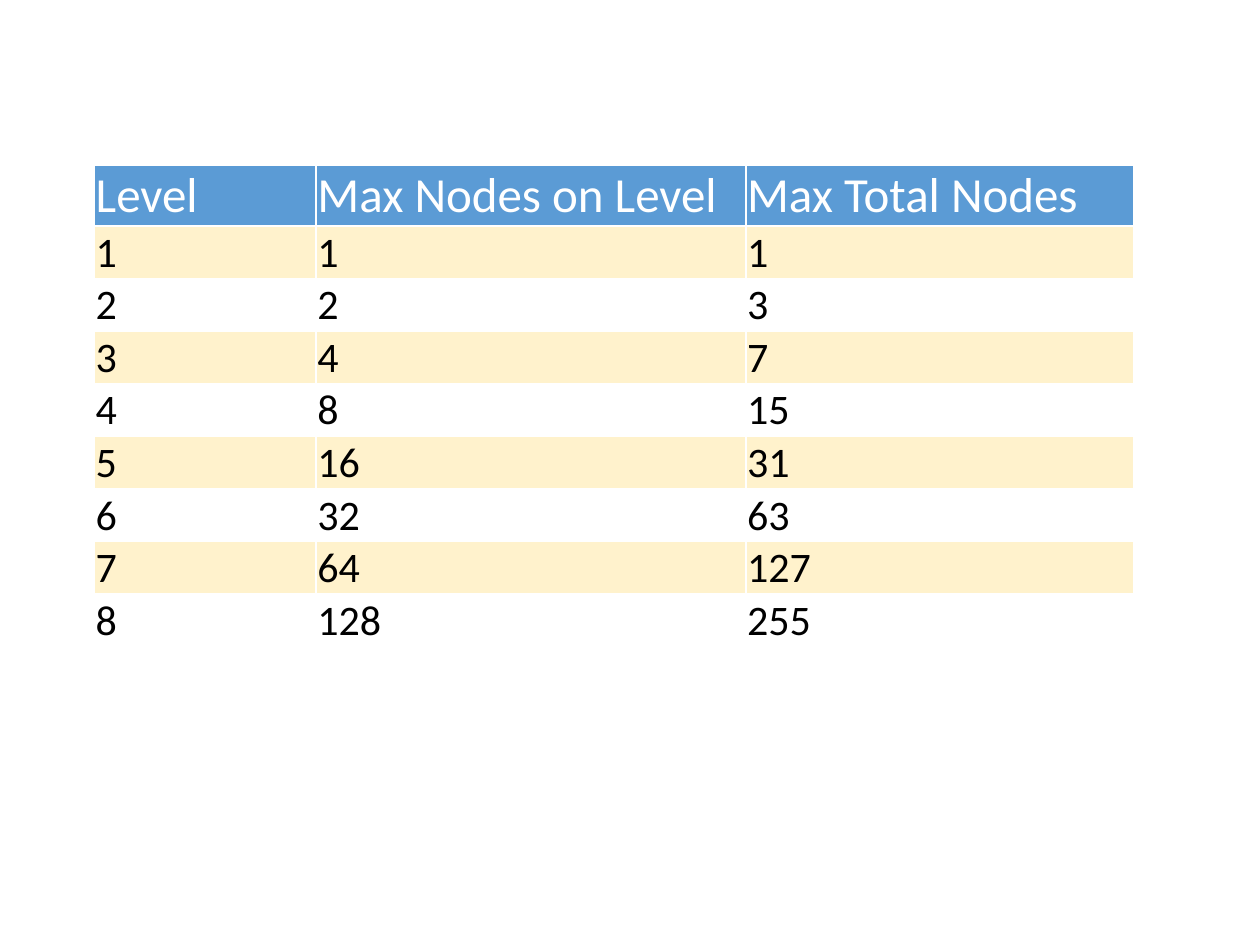
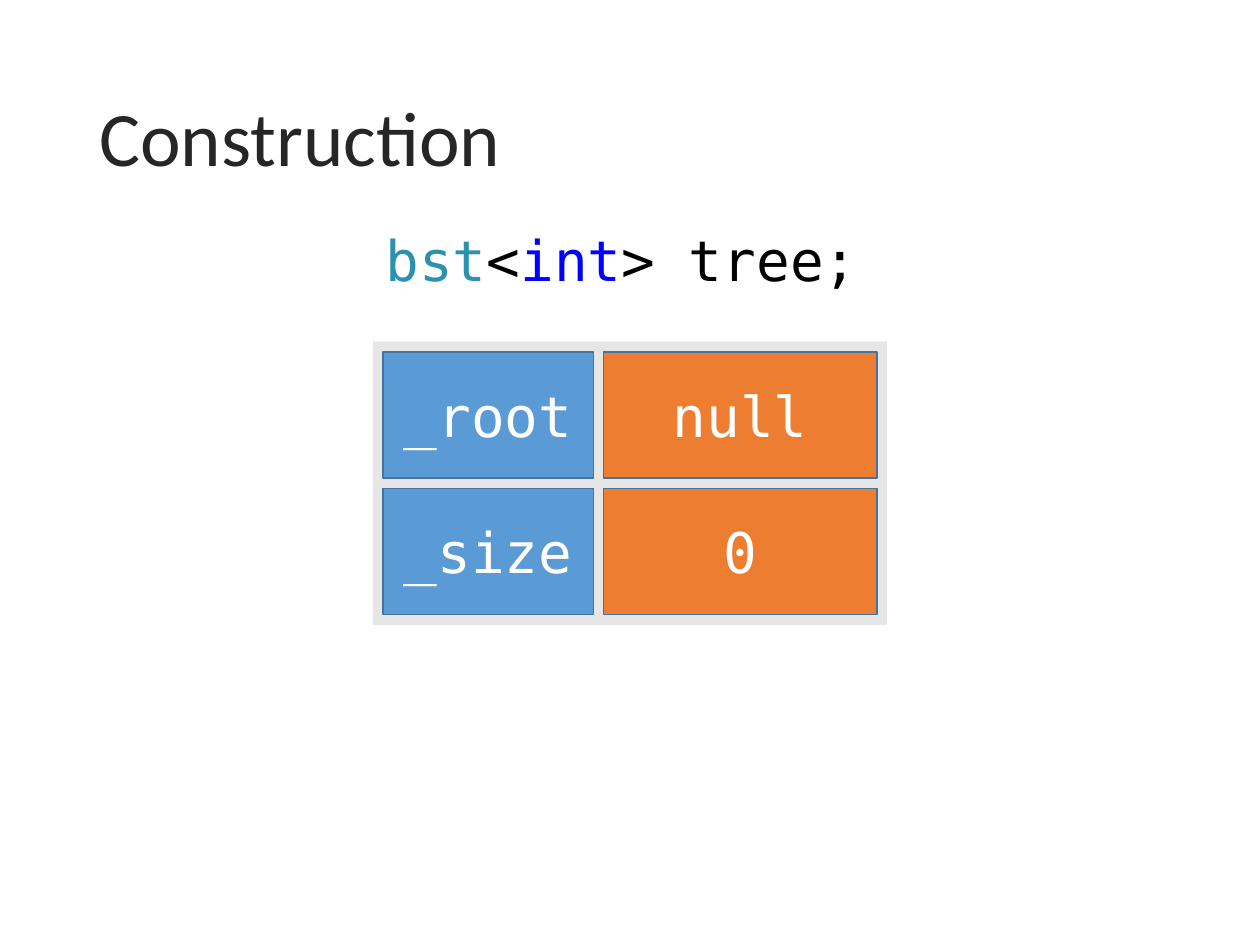
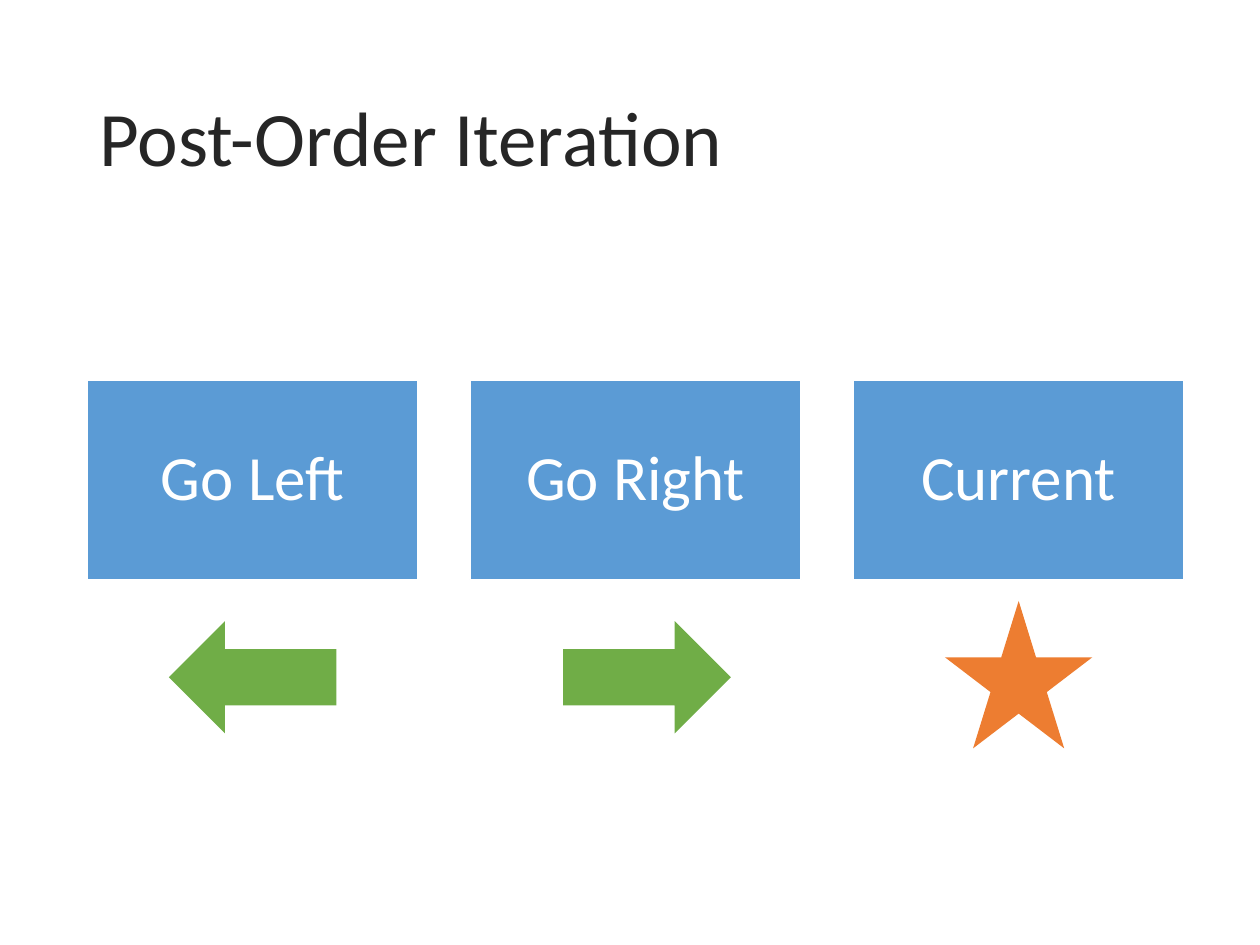
"""Build three slides on binary search trees."""
import pptx
import pptx.dml.color
import pptx.enum.shapes
import pptx.enum.text
import pptx.oxml
import pptx.oxml.ns
import pptx.util

Inches = pptx.util.Inches
SHAPE = pptx.enum.shapes.MSO_SHAPE
ANCHOR = pptx.enum.text.MSO_ANCHOR
ALIGN = pptx.enum.text.PP_ALIGN

BODY_FONT = "Calibri"
CODE_FONT = "DejaVu Sans Mono"
WHITE = "FFFFFF"
BLACK = "000000"
TITLE_COLOR = "262626"
BLUE = "5B9BD5"
DARK_BLUE = "43739E"
ORANGE = "ED7D31"
GREEN = "70AD47"
GRAY = "E7E6E6"
CREAM = "FFF2CC"
TYPE_COLOR = "2B91AF"
KEYWORD_COLOR = "0000FF"
TITLE_BOX = (0.69, 0.4, 8.62, 1.45)


def rgb(color):
    """Turn a hex string into a colour."""
    return pptx.dml.color.RGBColor.from_string(color)


def write_runs(text_frame, runs, size, font, align=ALIGN.LEFT, spacing=None):
    """Write (text, colour) runs into the first paragraph of a frame."""
    paragraph = text_frame.paragraphs[0]
    paragraph.alignment = align
    if spacing:
        paragraph.line_spacing = spacing
    for text, color in runs:
        run = paragraph.add_run()
        run.text = text
        run.font.name = font
        run.font.size = pptx.util.Pt(size)
        run.font.color.rgb = rgb(color)


def add_shape(shapes, kind, box, fill, line=None):
    """Add a filled preset shape without shadow."""
    shape = shapes.add_shape(kind, *map(Inches, box))
    shape.shadow.inherit = False
    shape.fill.solid()
    shape.fill.fore_color.rgb = rgb(fill)
    if line:
        shape.line.color.rgb = rgb(line)
        shape.line.width = pptx.util.Pt(1)
    else:
        shape.line.fill.background()
    shape.text_frame.word_wrap = True
    shape.text_frame.vertical_anchor = ANCHOR.MIDDLE
    return shape


def add_title(slide, text):
    """Add the slide title."""
    text_frame = slide.shapes.add_textbox(*map(Inches, TITLE_BOX)).text_frame
    text_frame.word_wrap = True
    text_frame.vertical_anchor = ANCHOR.MIDDLE
    write_runs(text_frame, [(text, TITLE_COLOR)], 44, BODY_FONT, spacing=0.9)


def style_cell(cell, text, size, color, fill):
    """Fill in one table cell with white borders and tight margins."""
    cell.margin_left = cell.margin_top = cell.margin_right = Inches(0.01)
    cell.margin_bottom = 0
    cell.vertical_anchor = ANCHOR.BOTTOM
    properties = cell._tc.get_or_add_tcPr()
    for side in "LRTB":
        properties.append(pptx.oxml.parse_xml(
            f'<a:ln{side} {pptx.oxml.ns.nsdecls("a")} w="12700"><a:solidFill>'
            f'<a:srgbClr val="{WHITE}"/></a:solidFill></a:ln{side}>'))
    if fill:
        cell.fill.solid()
        cell.fill.fore_color.rgb = rgb(fill)
    else:
        cell.fill.background()
    write_runs(cell.text_frame, [(text, color)], size, BODY_FONT)


def add_node_table(slide, box, levels):
    """Add the table of node counts for each tree level."""
    rows = [("Level", "Max Nodes on Level", "Max Total Nodes")]
    rows += [(str(level), str(2 ** (level - 1)), str(2 ** level - 1))
             for level in range(1, levels + 1)]
    table = slide.shapes.add_table(len(rows), 3, *map(Inches, box)).table
    table.first_row = table.horz_banding = False
    for column, width in zip(table.columns, (1.76, 3.41, 3.08)):
        column.width = Inches(width)
    for row_index, values in enumerate(rows):
        is_header = row_index == 0
        table.rows[row_index].height = Inches(0.48 if is_header else 0.41)
        size, color = (28, WHITE) if is_header else (24, BLACK)
        fill = BLUE if is_header else CREAM if row_index % 2 else None
        for column_index, text in enumerate(values):
            style_cell(table.cell(row_index, column_index), text, size, color, fill)


def add_declaration(slide, box):
    """Add the line of code that declares the tree."""
    shape = add_shape(slide.shapes, SHAPE.RECTANGLE, box, WHITE)
    runs = [("bst", TYPE_COLOR), ("<", BLACK), ("int", KEYWORD_COLOR), ("> tree;", BLACK)]
    write_runs(shape.text_frame, runs, 32, CODE_FONT)


def add_object_fields(slide, box, fields):
    """Add a panel with a name cell and a value cell for each field."""
    left, top, width, height = box
    name_width, value_width, cell_height = 1.67, 2.17, 1
    column_gap = (width - name_width - value_width) / 3
    row_gap = (height - len(fields) * cell_height) / (len(fields) + 1)
    name_left = left + column_gap
    value_left = name_left + name_width + column_gap
    shapes = slide.shapes.add_group_shape().shapes
    add_shape(shapes, SHAPE.RECTANGLE, box, GRAY)
    for index, (name, value) in enumerate(fields):
        cell_top = top + row_gap + index * (cell_height + row_gap)
        for text, cell_left, cell_width, fill in (
                (name, name_left, name_width, BLUE),
                (value, value_left, value_width, ORANGE)):
            cell_box = (cell_left, cell_top, cell_width, cell_height)
            cell = add_shape(shapes, SHAPE.RECTANGLE, cell_box, fill, DARK_BLUE)
            write_runs(cell.text_frame, [(text, WHITE)], 32, CODE_FONT, ALIGN.CENTER)


def add_step(slide, box, text, symbol):
    """Add a step card with its symbol centred below."""
    left, top, width, height = box
    kind, symbol_width, symbol_height, rotation, fill, shift, drop = symbol
    shapes = slide.shapes.add_group_shape().shapes
    card = add_shape(shapes, SHAPE.RECTANGLE, box, BLUE, WHITE)
    write_runs(card.text_frame, [(text, WHITE)], 36, BODY_FONT, ALIGN.CENTER, 0.9)
    symbol_box = (left + (width - symbol_width) / 2 + shift, top + height + drop,
                  symbol_width, symbol_height)
    add_shape(shapes, kind, symbol_box, fill).rotation = rotation


def add_steps(slide, box, pitch):
    """Add the row of iteration steps, starting from the first card's box."""
    left, top, width, height = box
    steps = [
        ("Go Left", (SHAPE.UP_ARROW, 0.89, 1.33, 270, GREEN, 0, 0.11)),
        ("Go Right", (SHAPE.UP_ARROW, 0.89, 1.33, 90, GREEN, 0.09, 0.11)),
        ("Current", (SHAPE.STAR_5_POINT, 1.17, 1.17, 0, ORANGE, 0, 0.17)),
    ]
    for index, (text, symbol) in enumerate(steps):
        add_step(slide, (left + index * pitch, top, width, height), text, symbol)


def main():
    """Build and save the presentation."""
    presentation = pptx.Presentation()
    presentation.slide_width = Inches(10)
    presentation.slide_height = Inches(7.5)
    blank = presentation.slide_layouts[6]

    slide = presentation.slides.add_slide(blank)
    add_node_table(slide, (0.75, 1.31, 8.25, 3.76), 8)

    slide = presentation.slides.add_slide(blank)
    add_title(slide, "Construction")
    add_declaration(slide, (2.96, 1.74, 4.08, 0.64))
    add_object_fields(slide, (2.96, 2.71, 4.08, 2.25), [("_root", "null"), ("_size", "0")])

    slide = presentation.slides.add_slide(blank)
    add_title(slide, "Post-Order Iteration")
    add_steps(slide, (0.69, 3.02, 2.63, 1.58), 3.04)

    presentation.save("out.pptx")


if __name__ == "__main__":
    main()
